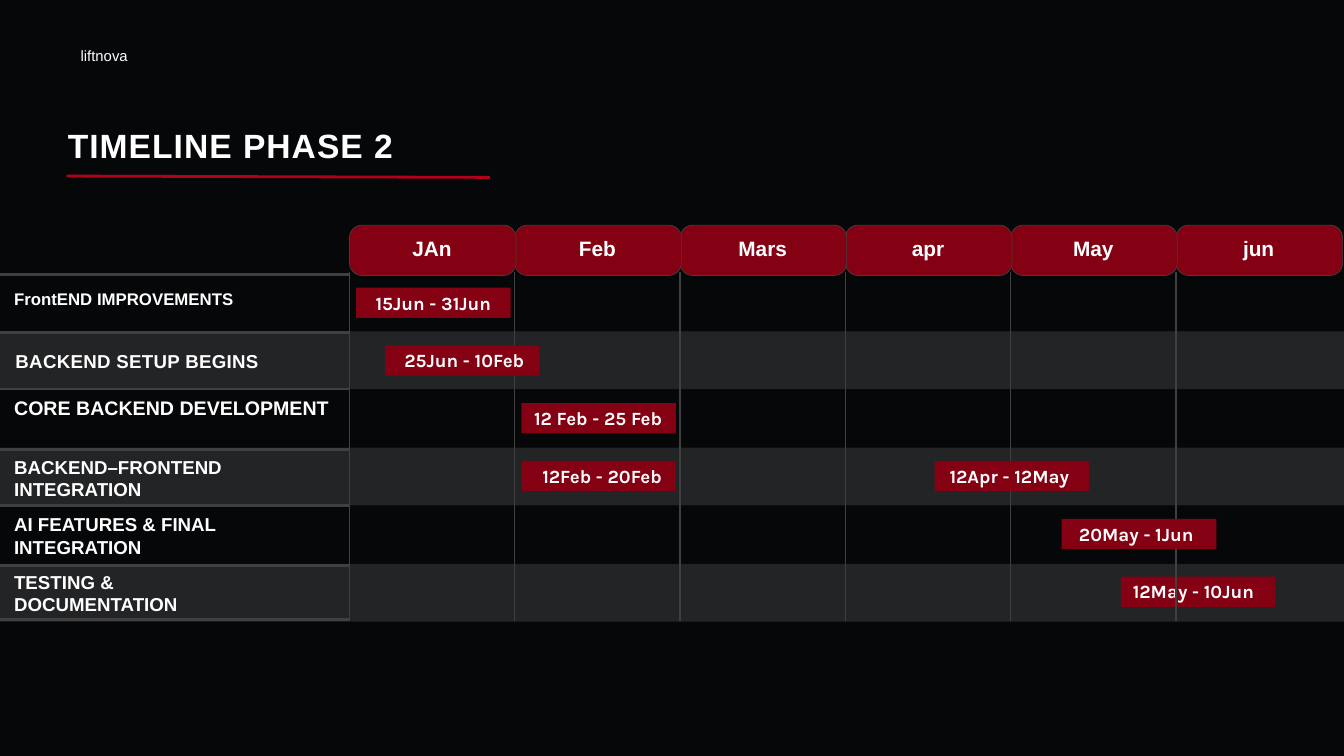
from dataclasses import dataclass

from lxml.etree import SubElement
from pptx import Presentation
from pptx.dml.color import RGBColor
from pptx.enum.shapes import MSO_CONNECTOR, MSO_SHAPE
from pptx.enum.text import MSO_ANCHOR, MSO_AUTO_SIZE, PP_ALIGN
from pptx.oxml.ns import qn
from pptx.shapes.autoshape import Shape
from pptx.slide import Slide
from pptx.util import Inches, Pt

WHITE, GREY, BAND = "FFFFFF", "404040", "CCCCCC"
BACKGROUND, CRIMSON, RED = "060709", "840013", "B4001A"
SLIDE_WIDTH, SLIDE_HEIGHT = 20, 11.25
GRID_LEFT, MONTH_STEP, MONTH_WIDTH = 5.2, 2.46, 2.48
MONTH_TOP, MONTH_HEIGHT = 3.35, 0.75
GRID_TOP, GRID_BOTTOM = 4.05, 9.24
BAND_TOP, BAND_STEP, BAND_HEIGHT = 4.93, 1.73, 0.86
BAR_TOP, ROW_STEP, BAR_WIDTH, BAR_HEIGHT = 4.28, 0.86, 2.3, 0.45
DATE_WIDTH = 2.6


@dataclass(frozen=True)
class Style:
    size: float
    leading: float
    font: str = "Arial"
    bold: bool = True
    align: PP_ALIGN = PP_ALIGN.LEFT
    spacing: float = 0


@dataclass(frozen=True)
class Task:
    text: str
    left: float
    top: float
    width: float
    style: Style


@dataclass(frozen=True)
class Bar:
    dates: str
    row: int
    left: float
    text_center: float


TITLE = Style(36, 43.2, spacing=1.1)
BRAND = Style(15.9, 22.3, bold=False)
MONTH = Style(22.3, 26.7, align=PP_ALIGN.CENTER)
DATES = Style(20, 28, font="Karla", align=PP_ALIGN.CENTER)
TASK = Style(20, 23.9)

MONTHS = ["JAn", "Feb", "Mars", "apr", "May", "jun"]
RULES = [4.08, 4.95, 5.79, 6.69, 7.52, 8.42, 9.22]
TASKS = [
    Task("FrontEND IMPROVEMENTS", 0.21, 4.29, 5.54, Style(18, 21.6)),
    Task("BACKEND SETUP BEGINS", 0.23, 5.21, 5.22, Style(20, 23.9, spacing=0.3)),
    Task("CORE BACKEND DEVELOPMENT", 0.21, 5.9, 6.21, Style(21, 25.1)),
    Task("BACKEND–FRONTEND INTEGRATION", 0.21, 6.78, 4.95, TASK),
    Task("AI FEATURES & FINAL INTEGRATION", 0.21, 7.64, 4.67, TASK),
    Task("TESTING & DOCUMENTATION", 0.21, 8.49, 3.42, TASK),
]
BAR_BEHIND_GRID = Bar("12May - 10Jun", 5, 16.68, 17.76)
BARS = [
    Bar("15Jun - 31Jun", 0, 5.3, 6.45),
    Bar("25Jun - 10Feb", 1, 5.73, 6.91),
    Bar("12 Feb - 25 Feb", 2, 7.76, 8.9),
    Bar("12Feb - 20Feb", 3, 7.76, 8.96),
    Bar("12Apr - 12May", 3, 13.91, 15.02),
    Bar("20May - 1Jun", 4, 15.8, 16.91),
]


def color(value: str) -> RGBColor:
    return RGBColor.from_string(value)


def write(box: Shape, text: str, style: Style) -> None:
    frame = box.text_frame
    frame.text = text
    frame.word_wrap = True
    frame.auto_size = MSO_AUTO_SIZE.NONE
    frame.vertical_anchor = MSO_ANCHOR.TOP
    frame.margin_left = frame.margin_right = 0
    frame.margin_top = frame.margin_bottom = 0
    para = frame.paragraphs[0]
    para.alignment = style.align
    para.line_spacing = Pt(style.leading)
    span = para.runs[0]
    span.font.name = style.font
    span.font.size = Pt(style.size)
    span.font.bold = style.bold
    span.font.color.rgb = color(WHITE)
    if style.spacing:
        span.font._element.set("spc", str(round(style.spacing * 100)))


def add_text(page: Slide, text: str, left: float, top: float,
             width: float, height: float, style: Style) -> None:
    box = page.shapes.add_textbox(
        Inches(left), Inches(top), Inches(width), Inches(height))
    write(box, text, style)


def add_block(page: Slide, left: float, top: float, width: float, height: float,
              fill: str, kind: MSO_SHAPE = MSO_SHAPE.RECTANGLE) -> Shape:
    block = page.shapes.add_shape(
        kind, Inches(left), Inches(top), Inches(width), Inches(height))
    block.shadow.inherit = False
    block.fill.solid()
    block.fill.fore_color.rgb = color(fill)
    block.line.fill.background()
    return block


def add_line(page: Slide, x1: float, y1: float, x2: float, y2: float,
             stroke: str, weight: float) -> None:
    line = page.shapes.add_connector(
        MSO_CONNECTOR.STRAIGHT, Inches(x1), Inches(y1), Inches(x2), Inches(y2))
    line.line.color.rgb = color(stroke)
    line.line.width = Pt(weight)
    SubElement(line._element.spPr, qn("a:effectLst"))


def add_band(page: Slide, top: float) -> None:
    band = add_block(page, 0, top, SLIDE_WIDTH, BAND_HEIGHT, BAND)
    tint = band._element.spPr.find(qn("a:solidFill"))[0]
    SubElement(tint, qn("a:alpha")).set("val", "15000")


def add_bar(page: Slide, bar: Bar) -> None:
    top = BAR_TOP + bar.row * ROW_STEP
    add_block(page, bar.left, top, BAR_WIDTH, BAR_HEIGHT, CRIMSON)
    add_text(page, bar.dates, bar.text_center - DATE_WIDTH / 2, top,
             DATE_WIDTH, 0.38, DATES)


def add_month(page: Slide, name: str, left: float) -> None:
    tab = add_block(page, left, MONTH_TOP, MONTH_WIDTH, MONTH_HEIGHT, CRIMSON,
                    MSO_SHAPE.ROUNDED_RECTANGLE)
    tab.adjustments[0] = 0.25
    tab.line.color.rgb = color(GREY)
    tab.line.width = Pt(0.75)
    add_text(page, name, left + 0.08, 3.51, 2.3, 0.39, MONTH)


def add_heading(page: Slide) -> None:
    title = page.shapes.title
    title.left, title.top = Inches(1.01), Inches(1.86)
    title.width, title.height = Inches(7.76), Inches(0.65)
    write(title, "TIMELINE PHASE 2", TITLE)
    add_line(page, 0.99, 2.62, 7.29, 2.64, RED, 3)
    add_text(page, "liftnova", 1.2, 0.65, 2.29, 0.32, BRAND)


def main() -> None:
    deck = Presentation()
    deck.slide_width, deck.slide_height = Inches(SLIDE_WIDTH), Inches(SLIDE_HEIGHT)
    page = deck.slides.add_slide(deck.slide_layouts[5])
    page.background.fill.solid()
    page.background.fill.fore_color.rgb = color(BACKGROUND)

    add_heading(page)
    for index in range(3):
        add_band(page, BAND_TOP + index * BAND_STEP)
    add_bar(page, BAR_BEHIND_GRID)
    columns = [GRID_LEFT + index * MONTH_STEP for index in range(len(MONTHS))]
    for x in columns:
        add_line(page, x, GRID_TOP, x, GRID_BOTTOM, GREY, 1.5)
    for y in RULES:
        add_line(page, 0, y, GRID_LEFT, y, GREY, 3)
    for task in TASKS:
        add_text(page, task.text, task.left, task.top, task.width, 0.69, task.style)
    for bar in BARS:
        add_bar(page, bar)
    for name, left in reversed(list(zip(MONTHS, columns))):
        add_month(page, name, left)

    deck.save("out.pptx")


if __name__ == "__main__":
    main()
